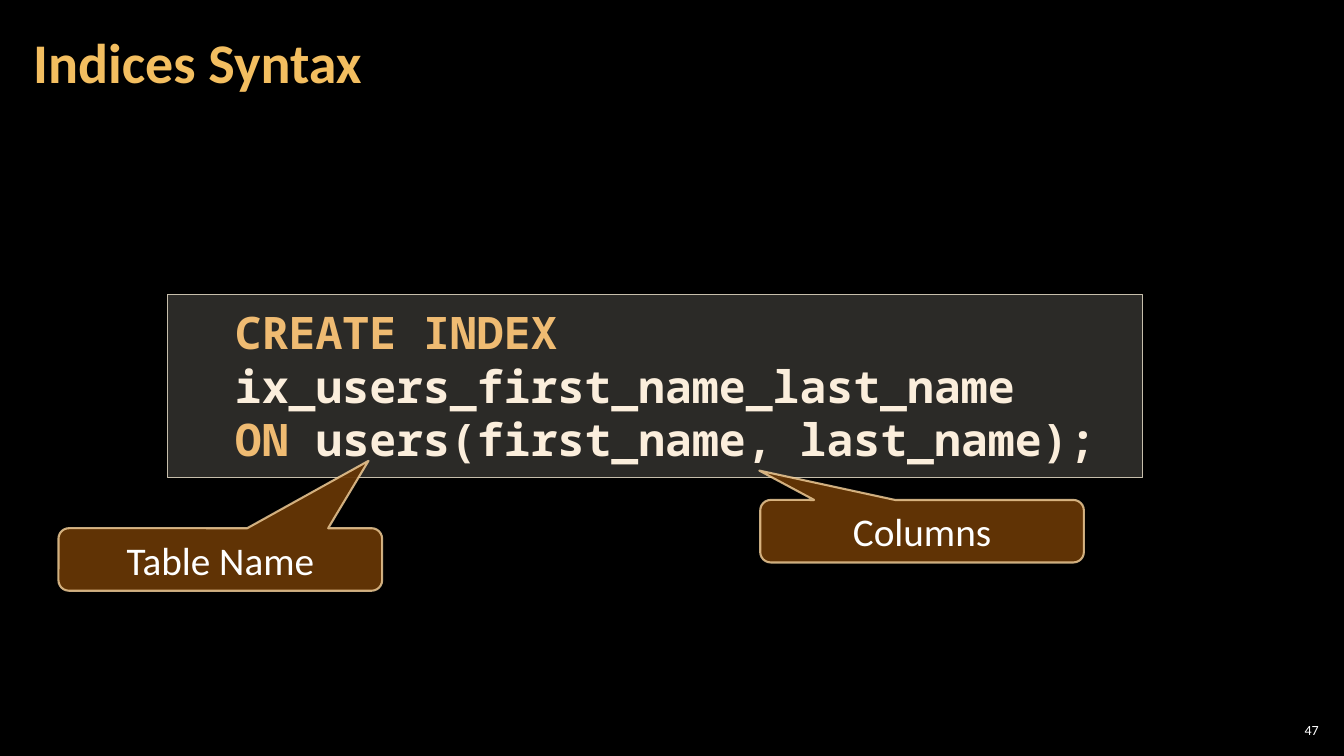
from lxml.etree import SubElement
from pptx import Presentation
from pptx.dml.color import RGBColor
from pptx.enum.shapes import MSO_SHAPE
from pptx.enum.text import MSO_ANCHOR, PP_ALIGN
from pptx.oxml.ns import qn
from pptx.util import Inches, Pt

THEME = {
    "background": "000000",
    "title": {"size": 40, "name": "Calibri", "color": "F3BE60", "bold": True},
    "keyword": {"size": 32, "name": "Noto Sans Mono", "color": "EFBB72", "bold": True},
    "identifier": {"size": 32, "name": "Noto Sans Mono", "color": "FBEEDC", "bold": True},
    "label": {"size": 28, "name": "Calibri", "color": "FFFFFF", "bold": False},
    "number": {"size": 10, "name": "Calibri", "color": "FFFFFF", "bold": False},
    "code_box": {"fill": ("D9D5C7", 20), "line": ("C7BFAC", 100), "width": 1},
    "callout": {"fill": ("663606", 95), "line": ("F8D49E", 80), "width": 1.5},
}


def style_shape(shape, style):
    """Set fill and line, each given as a colour with its opacity in percent."""
    shape.shadow.inherit = False
    shape.line.width = Pt(style["width"])
    for fill, (color, opacity) in ((shape.fill, style["fill"]), (shape.line.fill, style["line"])):
        fill.solid()
        fill.fore_color.rgb = RGBColor.from_string(color)
    for color_element in shape._element.spPr.iter(qn("a:srgbClr")):
        opacity = dict(style[part] for part in ("fill", "line"))[color_element.get("val")]
        SubElement(color_element, qn("a:alpha"), val=str(opacity * 1000))


def write_text(shape, lines, margins, anchor, alignment):
    """Write lines made of (text, theme style) runs; margins are left/right and top/bottom."""
    frame = shape.text_frame
    side, edge = map(Inches, margins)
    settings = {"word_wrap": True, "vertical_anchor": anchor, "margin_left": side,
                "margin_right": side, "margin_top": edge, "margin_bottom": edge}
    for name, value in settings.items():
        setattr(frame, name, value)
    for index, line in enumerate(lines):
        paragraph = frame.add_paragraph() if index else frame.paragraphs[0]
        paragraph.alignment = alignment
        for text, style in line:
            run = paragraph.add_run()
            run.text = text
            format_values = dict(THEME[style])
            run.font.color.rgb = RGBColor.from_string(format_values.pop("color"))
            format_values["size"] = Pt(format_values["size"])
            for name, value in format_values.items():
                setattr(run.font, name, value)
    return frame.paragraphs


presentation = Presentation()
presentation.slide_width = Inches(13.33)
presentation.slide_height = Inches(7.5)
slide = presentation.slides.add_slide(presentation.slide_layouts[6])
slide.background.fill.solid()
slide.background.fill.fore_color.rgb = RGBColor.from_string(THEME["background"])

# Code box
code_box = slide.shapes.add_shape(
    MSO_SHAPE.RECTANGLE, Inches(1.66), Inches(2.92), Inches(9.67), Inches(1.82))
style_shape(code_box, THEME["code_box"])
code_lines = [
    [("CREATE INDEX", "keyword"), (" ix_users_first_name_last_name", "identifier")],
    [("ON ", "keyword"), ("users(first_name, last_name);", "identifier")],
]
for paragraph in write_text(code_box, code_lines, (0, 0.1), MSO_ANCHOR.TOP, PP_ALIGN.LEFT):
    properties = paragraph._p.get_or_add_pPr()
    properties.set("marL", str(Inches(0.67)))
    properties.set("indent", "0")

# Slide number and title
number_box = slide.shapes.add_textbox(Inches(12.65), Inches(7.14), Inches(0.47), Inches(0.21))
write_text(number_box, [[("47", "number")]], (0.04, 0.04), MSO_ANCHOR.MIDDLE, PP_ALIGN.RIGHT)

title_box = slide.shapes.add_textbox(Inches(0.21), Inches(0.04), Inches(10.47), Inches(1.21))
title_paragraphs = write_text(
    title_box, [[("Indices Syntax", "title")]], (0.12, 0.04), MSO_ANCHOR.MIDDLE, PP_ALIGN.LEFT)
title_paragraphs[0].line_spacing = 0.9

# Callouts: label, left, top, pointer tip relative to the centre
callouts = [
    ("Table Name", 0.58, 5.24, (0.458, -1.578)),
    ("Columns", 7.54, 4.96, (-0.503, -0.97)),
]
for label, left, top, tip in callouts:
    callout = slide.shapes.add_shape(
        MSO_SHAPE.ROUNDED_RECTANGULAR_CALLOUT,
        Inches(left), Inches(top), Inches(3.21), Inches(0.62))
    callout.adjustments[0], callout.adjustments[1] = tip
    style_shape(callout, THEME["callout"])
    write_text(callout, [[(label, "label")]], (0.1, 0.05), MSO_ANCHOR.MIDDLE, PP_ALIGN.CENTER)

presentation.save("out.pptx")
